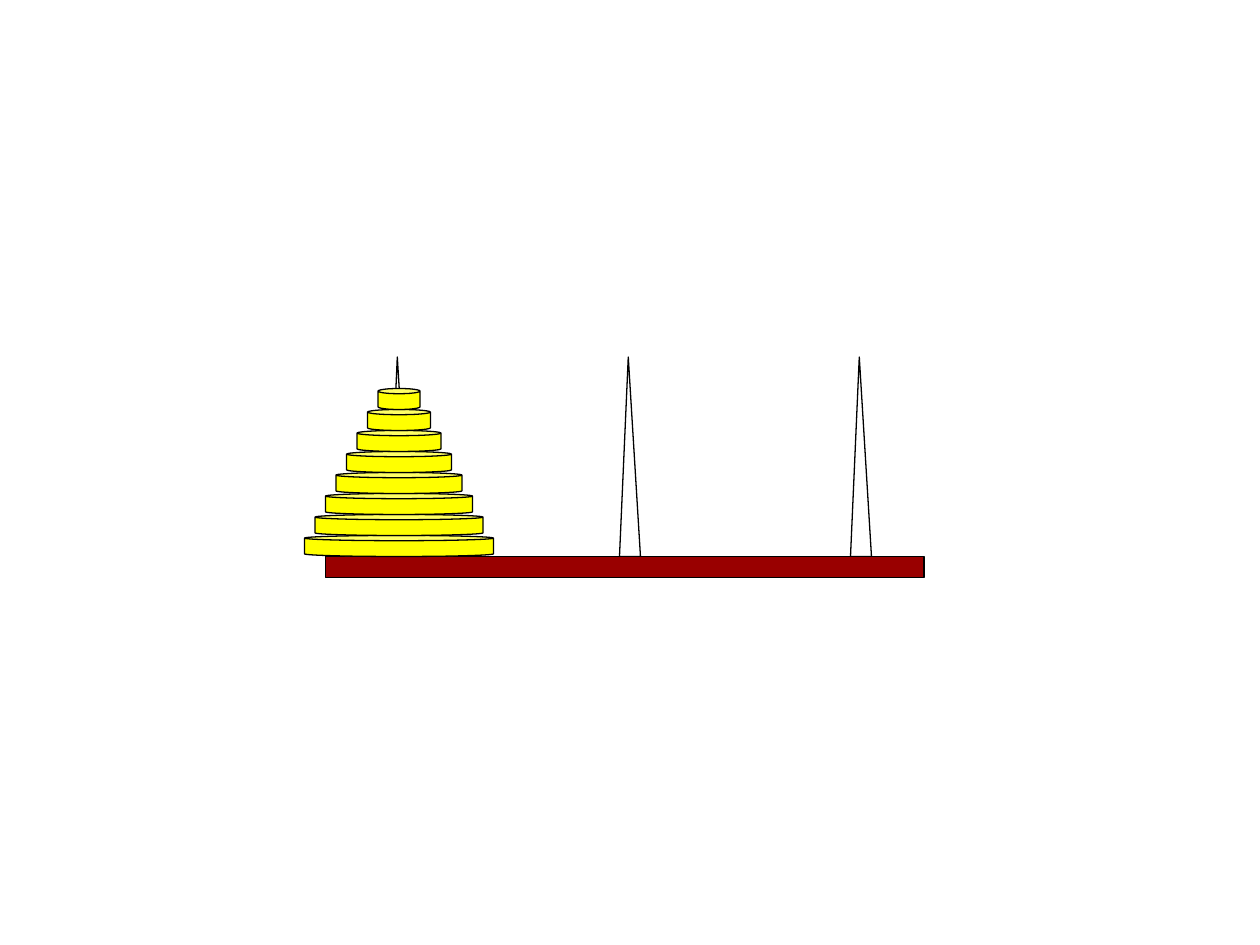
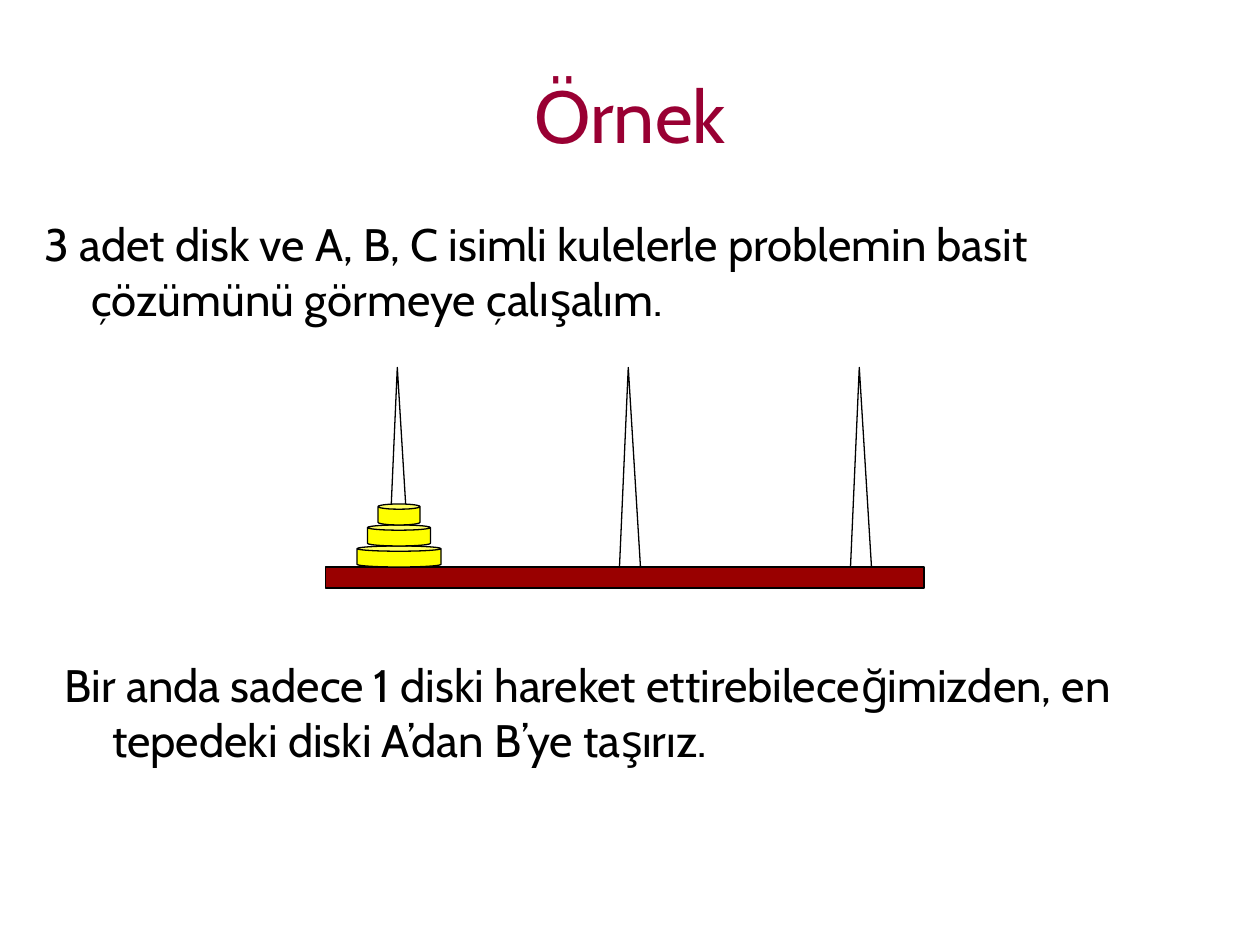
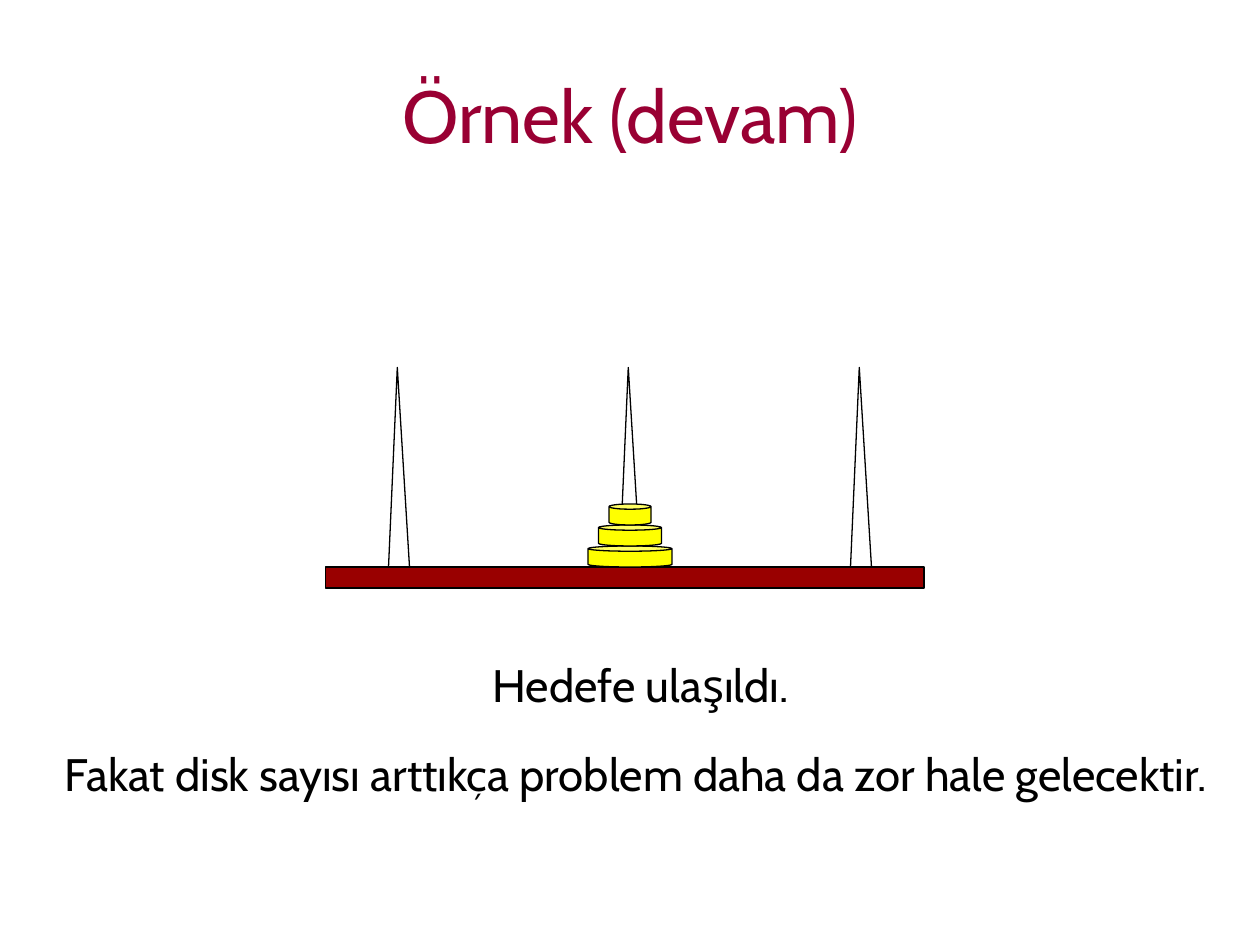
from lxml.etree import SubElement
from pptx import Presentation
from pptx.dml.color import RGBColor
from pptx.enum.shapes import MSO_SHAPE
from pptx.enum.text import MSO_ANCHOR, MSO_AUTO_SIZE, PP_ALIGN
from pptx.oxml.ns import qn
from pptx.util import Cm, Pt

FONT = "Cabin"
BLACK, WHITE, CRIMSON = "000000", "FFFFFF", "990033"
BASE_RED, DISK_YELLOW = "990000", "FFFF00"
LEFT, CENTER = PP_ALIGN.LEFT, PP_ALIGN.CENTER

TITLE_BOX = (2.54, 0.85, 20.32, 3.17)
INTRO_BOX = (0.64, 4.23, 24.34, 2.54)
NOTE_LEFT, NOTE_TOP, NOTE_WIDTH = 1.06, 13.12, 23.71

STEP = 2.54 / 6
PEG_CENTERS = (19, 30, 41)
PEG_HEIGHT = 9.5
BASE_LEFT, BASE_WIDTH = 15.5, 28.5
SMALLEST_DISK = 2

SLIDES = [
    {"layout": 6, "base_top": 26.5, "disks": 8, "peg": 0},
    {
        "layout": 1, "base_top": 27, "disks": 3, "peg": 0,
        "title": "Örnek",
        "intro": [("3 adet disk ve A, B, C isimli kulelerle problemin basit çözümünü görmeye çalışalım.", LEFT)],
        "note": [("Bir anda sadece 1 diski hareket ettirebileceğimizden, en tepedeki diski A’dan B’ye taşırız.", LEFT)],
        "note_height": 2.54,
    },
    {
        "layout": 5, "base_top": 27, "disks": 3, "peg": 1,
        "title": "Örnek (devam)",
        "note": [
            ("Hedefe ulaşıldı.", CENTER),
            ("Fakat disk sayısı arttıkça problem daha da zor hale gelecektir.", LEFT),
        ],
        "note_height": 4.4,
    },
]


def color(value):
    return RGBColor.from_string(value)


def place(holder, box):
    holder.left, holder.top, holder.width, holder.height = map(Cm, box)


def write(paragraph, text, size=26, ink=BLACK, align=LEFT, line=1.0, before=19.5, hanging=0.95):
    paragraph.alignment = align
    paragraph.line_spacing = line
    paragraph.space_before = Pt(before)
    properties = paragraph._p.get_or_add_pPr()
    properties.set("marL", str(Cm(hanging)))
    properties.set("indent", str(Cm(-hanging)))
    SubElement(properties, qn("a:buNone"))
    run = paragraph.add_run()
    run.text = text
    run.font.name = FONT
    run.font.size = Pt(size)
    run.font.color.rgb = color(ink)


def fill_frame(frame, lines, anchor=MSO_ANCHOR.TOP, **style):
    frame.word_wrap = True
    frame.auto_size = MSO_AUTO_SIZE.NONE
    frame.vertical_anchor = anchor
    for index, (text, align) in enumerate(lines):
        paragraph = frame.add_paragraph() if index else frame.paragraphs[0]
        write(paragraph, text, align=align, **style)


def add_part(group, preset, center, top, width, height, fill, adjustment=None):
    box = (center - width / 2, top, width, height)
    part = group.shapes.add_shape(preset, *(Cm(n * STEP) for n in box))
    part.shadow.inherit = False
    part.fill.solid()
    part.fill.fore_color.rgb = color(fill)
    part.line.color.rgb = color(BLACK)
    part.line.width = Pt(0.75)
    if adjustment is not None:
        part.adjustments[0] = adjustment


def draw_towers(slide, base_top, disks, peg):
    stand = slide.shapes.add_group_shape()
    for center in PEG_CENTERS:
        add_part(stand, MSO_SHAPE.ISOSCELES_TRIANGLE, center, base_top - PEG_HEIGHT,
                 1, PEG_HEIGHT, WHITE, 0.42)
    add_part(stand, MSO_SHAPE.RECTANGLE, BASE_LEFT + BASE_WIDTH / 2, base_top,
             BASE_WIDTH, 1, BASE_RED)
    stack = slide.shapes.add_group_shape()
    for level in range(1, disks + 1):
        add_part(stack, MSO_SHAPE.CAN, PEG_CENTERS[peg], base_top - level,
                 SMALLEST_DISK + disks - level, 1, DISK_YELLOW, 0.25)


def build_slide(deck, content):
    slide = deck.slides.add_slide(deck.slide_layouts[content["layout"]])
    draw_towers(slide, content["base_top"], content["disks"], content["peg"])
    if "title" in content:
        title = slide.shapes.title
        place(title, TITLE_BOX)
        fill_frame(title.text_frame, [(content["title"], CENTER)], MSO_ANCHOR.MIDDLE,
                   size=42, ink=CRIMSON, line=0.85, before=0, hanging=0)
    if "intro" in content:
        intro = slide.placeholders[1]
        place(intro, INTRO_BOX)
        fill_frame(intro.text_frame, content["intro"])
    if "note" in content:
        box = (NOTE_LEFT, NOTE_TOP, NOTE_WIDTH, content["note_height"])
        note = slide.shapes.add_textbox(*map(Cm, box))
        fill_frame(note.text_frame, content["note"])


def main():
    deck = Presentation()
    deck.slide_width, deck.slide_height = Cm(25.4), Cm(19.05)
    for content in SLIDES:
        build_slide(deck, content)
    deck.save("out.pptx")


if __name__ == "__main__":
    main()
